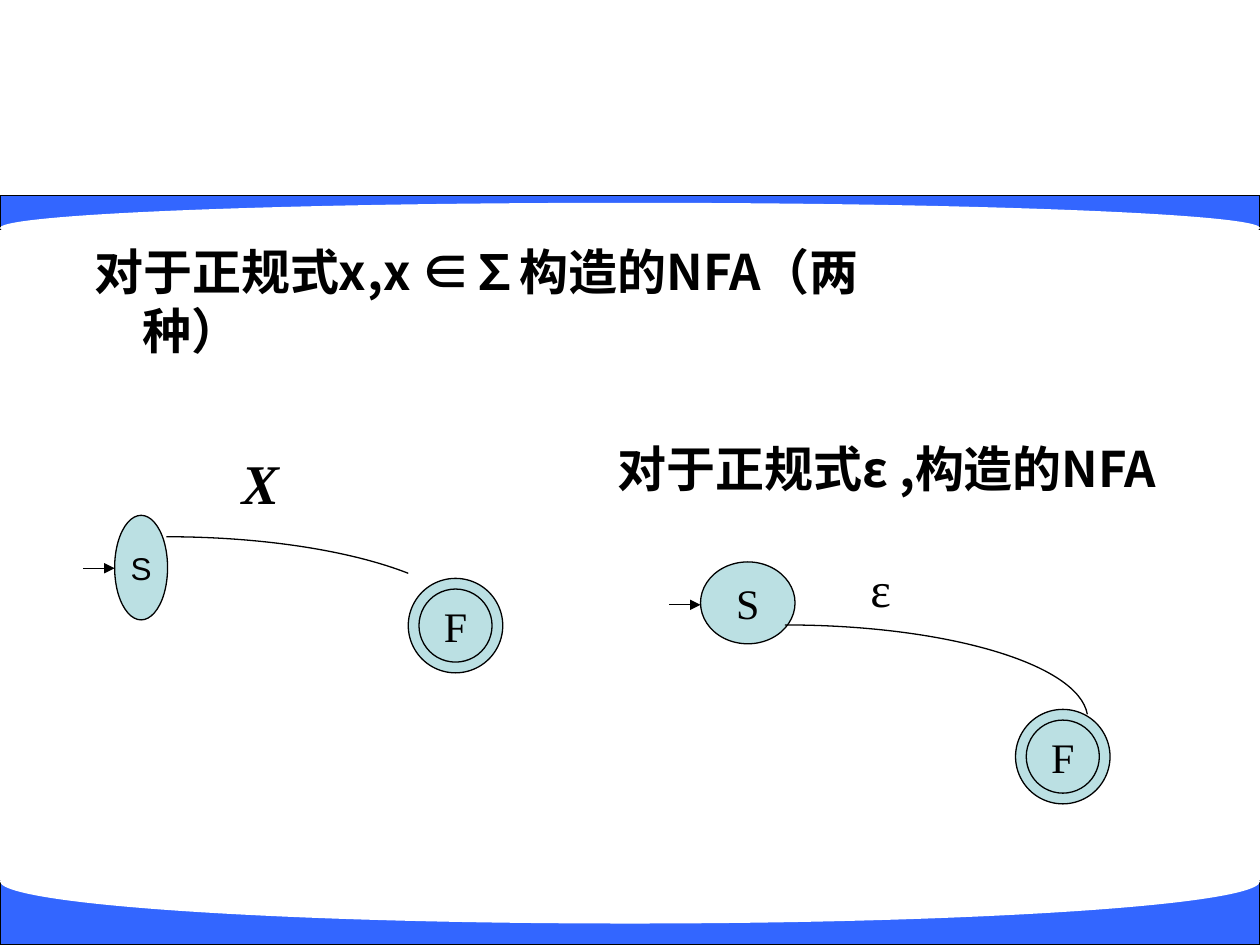
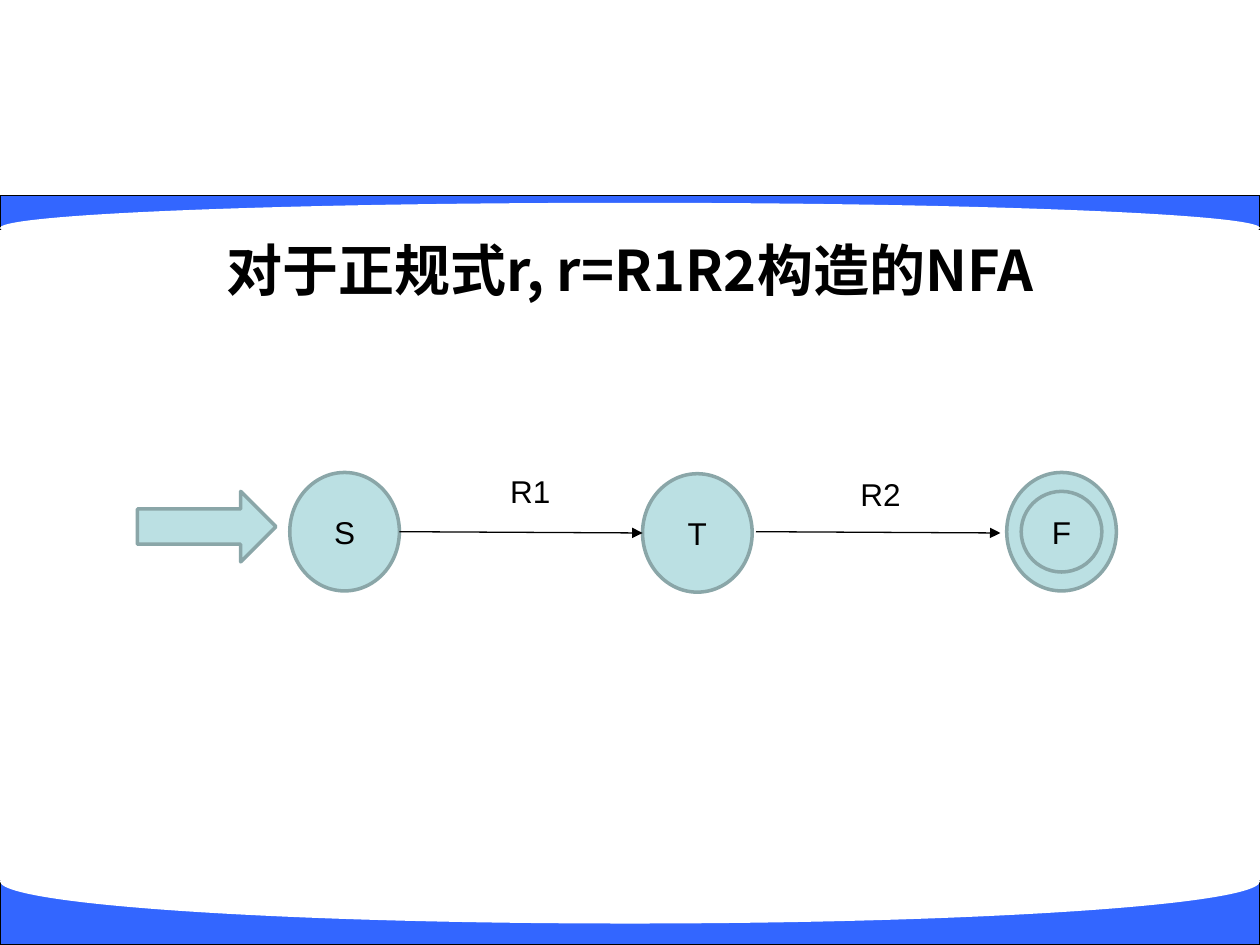
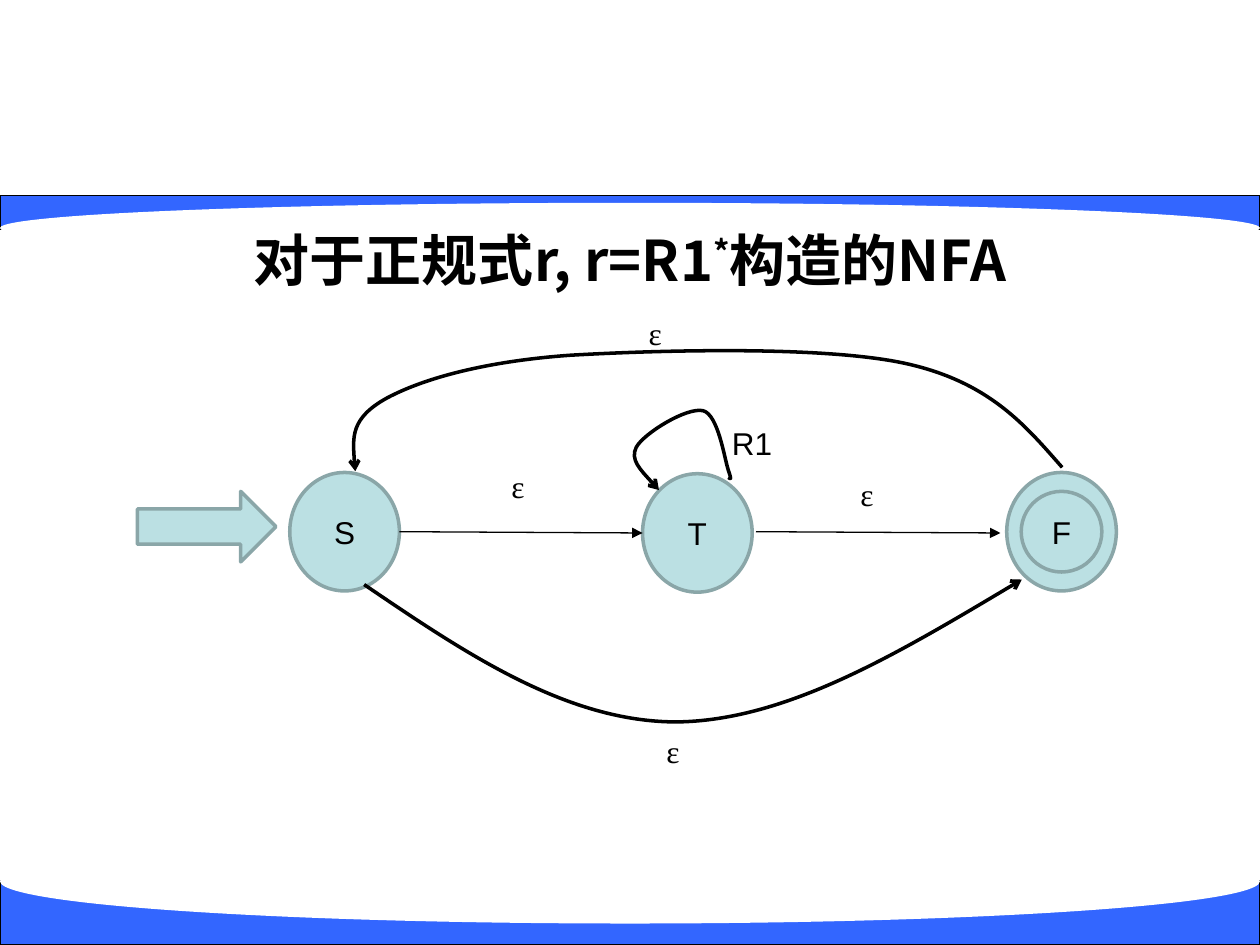
"""Build three slides on constructing NFAs from regular expressions."""

from dataclasses import dataclass
from typing import Any

import lxml.etree
import pptx
import pptx.dml.color
import pptx.enum.shapes
import pptx.enum.text
import pptx.oxml.ns
import pptx.util

Inches = pptx.util.Inches
Pt = pptx.util.Pt
MSO_SHAPE = pptx.enum.shapes.MSO_SHAPE
PP_ALIGN = pptx.enum.text.PP_ALIGN
MSO_ANCHOR = pptx.enum.text.MSO_ANCHOR
MSO_AUTO_SIZE = pptx.enum.text.MSO_AUTO_SIZE
qn = pptx.oxml.ns.qn

BLUE = "3366FF"
TEAL = "BBE0E3"
GREY_TEAL = "8AA6A8"
BLACK = "000000"
WHITE = "FFFFFF"
HEADING_FONT = "Noto Sans CJK SC"
SANS = "Arial"
SERIF = "Times New Roman"

Point = tuple[float, float]


@dataclass(frozen=True)
class Box:
    """Place and size in inches."""

    left: float
    top: float
    width: float
    height: float

    def lengths(self) -> list[Any]:
        """Return the four values as lengths."""
        return [Inches(value) for value in (self.left, self.top, self.width, self.height)]

    def centred(self, size: float) -> "Box":
        """Return a square box with the same centre."""
        return Box(self.left + (self.width - size) / 2, self.top + (self.height - size) / 2, size, size)


@dataclass(frozen=True)
class Outline:
    """Colour and width of a line."""

    colour: str = BLACK
    points: float = 0.75


THIN = Outline()
THICK = Outline(points=2)
SOFT = Outline(GREY_TEAL, 2)


@dataclass(frozen=True)
class Band:
    """A blue bar partly covered by a white ellipse."""

    bar: Box
    cover: Box


@dataclass(frozen=True)
class Heading:
    """A heading whose every second piece is superscript."""

    pieces: tuple[str, ...]
    box: Box
    size: float
    centred: bool = True


@dataclass(frozen=True)
class State:
    """An automaton state, with an inner ring if it is final."""

    label: str
    box: Box
    inner: float = 0
    outline: Outline = SOFT
    font: str = SANS
    size: float = 18
    wrap: bool = True


@dataclass(frozen=True)
class Label:
    """The symbol on a transition."""

    text: str
    box: Box
    font: str = SANS
    size: float = 18
    wrap: bool = False
    emphasis: bool = False


@dataclass(frozen=True)
class Arrow:
    """A straight transition."""

    start: Point
    end: Point


@dataclass(frozen=True)
class Curve:
    """A chain of cubic curves: the start, then three points for each."""

    points: tuple[Point, ...]
    outline: Outline = THICK
    head: str = "arrow"


BANDS = (
    Band(Box(0, 1.55, 10, 0.27), Box(0, 1.61, 10, 0.4)),
    Band(Box(0, 6.99, 10, 0.51), Box(0, 6.66, 10, 0.67)),
)

SYMBOL_HEADINGS = (
    Heading(("对于正规式x,x ∈∑构造的NFA（两种）",), Box(0.65, 1.87, 6.71, 1.06), 28, False),
    Heading(("对于正规式ε ,构造的NFA",), Box(4.76, 3.32, 4.56, 0.68), 28),
)
SYMBOL_STATES = (
    State("F", Box(3.24, 4.59, 0.75, 0.75), 0.58, THIN, SERIF, 24, False),
    State("S", Box(0.91, 4.09, 0.42, 0.83), 0, THIN, SANS, 18, False),
    State("F", Box(8.06, 5.63, 0.75, 0.75), 0.58, THIN, SERIF, 24, False),
    State("S", Box(5.56, 4.46, 0.75, 0.65), 0, THIN, SERIF, 24, False),
)
SYMBOL_LABELS = (
    Label("X", Box(1.82, 3.51, 0.75, 0.63), SERIF, 32, True, True),
    Label("ε", Box(6.81, 4.38, 0.75, 0.57), SERIF, 28, True),
)
SYMBOL_ARROWS = (Arrow((0.66, 4.51), (0.91, 4.51)), Arrow((5.31, 4.8), (5.56, 4.8)))
SYMBOL_CURVES = (
    Curve(((1.32, 4.26), (2.08, 4.26), (2.78, 4.37), (3.24, 4.55)), THIN, ""),
    Curve(((6.23, 4.96), (7.51, 4.96), (8.56, 5.27), (8.63, 5.67)), THIN, ""),
)

CHAIN_STATES = (
    State("S", Box(2.3, 3.75, 0.87, 0.94)),
    State("F", Box(7.99, 3.75, 0.87, 0.94), 0.64),
    State("T", Box(5.1, 3.76, 0.87, 0.94)),
)
CHAIN_ARROWS = (Arrow((3.17, 4.22), (5.1, 4.23)), Arrow((6, 4.22), (7.94, 4.23)))
ENTRY_ARROW = Box(1.09, 3.9, 1.1, 0.56)

CONCATENATION_HEADING = Heading(("对于正规式r, r=R1R2构造的NFA",), Box(0.75, 1.37, 8.5, 1.08), 32)
CONCATENATION_LABELS = (
    Label("R1", Box(3.95, 3.7, 0.52, 0.4)),
    Label("R2", Box(6.73, 3.72, 0.52, 0.4)),
)

CLOSURE_HEADING = Heading(("对于正规式r, r=R1", "*", "构造的NFA"), Box(0.75, 1.29, 8.5, 1.08), 32)
EPSILON_PLACES = ((6.73, 3.72), (3.96, 3.66), (5.19, 5.76), (5.05, 2.44))
CLOSURE_LABELS = (
    Label("R1", Box(5.71, 3.32, 0.52, 0.4)),
    *(Label("ε", Box(left, top, 0.31, 0.4), SERIF) for left, top in EPSILON_PLACES),
)
SKIP_CURVE = Curve((
    (2.89, 4.64), (3.7, 5.19), (4.5, 5.73), (5.37, 5.73),
    (6.24, 5.72), (7.17, 5.16), (8.11, 4.6),
))
LOOP_CURVE = Curve((
    (5.78, 3.79), (5.8, 3.8), (5.81, 3.82), (5.78, 3.73),
    (5.75, 3.64), (5.7, 3.29), (5.58, 3.26),
    (5.45, 3.23), (5.11, 3.44), (5.05, 3.55),
    (5, 3.65), (5.12, 3.77), (5.23, 3.89),
))
RETURN_CURVE = Curve((
    (8.43, 3.71), (8.14, 3.38), (7.86, 3.04), (7.21, 2.89),
    (6.56, 2.74), (5.21, 2.78), (4.52, 2.82),
    (3.83, 2.87), (3.35, 3.01), (3.07, 3.16),
    (2.78, 3.32), (2.8, 3.53), (2.82, 3.74),
))


def rgb(colour: str) -> pptx.dml.color.RGBColor:
    """Turn a hex string into a colour."""
    return pptx.dml.color.RGBColor.from_string(colour)


def apply_format(target: Any, values: dict[str, Any]) -> None:
    """Set each named attribute on the target."""
    for name, value in values.items():
        setattr(target, name, value)


def style_line(line: Any, outline: Outline, head: str = "") -> None:
    """Give a line its colour, width and arrowhead."""
    line.color.rgb = rgb(outline.colour)
    line.width = Pt(outline.points)
    if head:
        lxml.etree.SubElement(line._get_or_add_ln(), qn("a:tailEnd"), type=head)


def add_figure(slide: Any, kind: Any, box: Box, fill: str, outline: Outline | None = None) -> Any:
    """Draw a filled preset shape."""
    shape = slide.shapes.add_shape(kind, *box.lengths())
    shape.shadow.inherit = False
    shape.fill.solid()
    shape.fill.fore_color.rgb = rgb(fill)
    if outline:
        style_line(shape.line, outline)
    else:
        shape.line.fill.background()
    return shape


def add_run(paragraph: Any, text: str, font: str, size: float, **extra: Any) -> Any:
    """Add black text to a paragraph."""
    run = paragraph.add_run()
    run.text = text
    apply_format(run.font, {"name": font, "size": Pt(size), **extra})
    run.font.color.rgb = rgb(BLACK)
    return run


def add_bands(slide: Any) -> None:
    """Draw the curved blue bands."""
    for band in BANDS:
        add_figure(slide, MSO_SHAPE.RECTANGLE, band.bar, BLUE, THIN)
        add_figure(slide, MSO_SHAPE.OVAL, band.cover, WHITE)


def add_heading(slide: Any, heading: Heading) -> None:
    """Write a bold heading, centred or with a hanging indent."""
    frame = slide.shapes.add_textbox(*heading.box.lengths()).text_frame
    anchor = MSO_ANCHOR.BOTTOM if heading.centred else MSO_ANCHOR.TOP
    apply_format(frame, {"word_wrap": True, "vertical_anchor": anchor})
    paragraph = frame.paragraphs[0]
    paragraph.line_spacing = Pt(heading.size * 1.2)
    if heading.centred:
        paragraph.alignment = PP_ALIGN.CENTER
    else:
        properties = paragraph._p.get_or_add_pPr()
        properties.set("marL", str(Inches(0.38)))
        properties.set("indent", str(Inches(-0.38)))
    for index, piece in enumerate(heading.pieces):
        run = add_run(paragraph, piece, HEADING_FONT, heading.size, bold=True)
        properties = run._r.get_or_add_rPr()
        lxml.etree.SubElement(properties, qn("a:ea"), typeface=HEADING_FONT)
        if index % 2:
            properties.set("baseline", "30000")


def add_state(slide: Any, state: State) -> None:
    """Draw a state and its name."""
    shape = add_figure(slide, MSO_SHAPE.OVAL, state.box, TEAL, state.outline)
    if state.inner:
        shape = add_figure(slide, MSO_SHAPE.OVAL, state.box.centred(state.inner), TEAL, state.outline)
    frame = shape.text_frame
    apply_format(frame, {"word_wrap": state.wrap, "vertical_anchor": MSO_ANCHOR.MIDDLE})
    paragraph = frame.paragraphs[0]
    paragraph.alignment = PP_ALIGN.CENTER
    add_run(paragraph, state.label, state.font, state.size)


def add_label(slide: Any, label: Label) -> None:
    """Write a transition symbol."""
    frame = slide.shapes.add_textbox(*label.box.lengths()).text_frame
    apply_format(frame, {"word_wrap": label.wrap, "auto_size": MSO_AUTO_SIZE.SHAPE_TO_FIT_TEXT})
    add_run(frame.paragraphs[0], label.text, label.font, label.size, bold=label.emphasis, italic=label.emphasis)


def add_arrow(slide: Any, arrow: Arrow) -> None:
    """Draw a straight transition."""
    ends = [Inches(value) for value in (*arrow.start, *arrow.end)]
    connector = slide.shapes.add_connector(pptx.enum.shapes.MSO_CONNECTOR.STRAIGHT, *ends)
    style_line(connector.line, THIN, "triangle")
    lxml.etree.SubElement(connector._element.spPr, qn("a:effectLst"))


def add_curve(slide: Any, curve: Curve) -> None:
    """Draw a freeform and bend each three segments into a cubic curve."""
    start, *others = [(Inches(x), Inches(y)) for x, y in curve.points]
    builder = slide.shapes.build_freeform(*start)
    builder.add_line_segments(others, close=False)
    shape = builder.convert_to_shape()
    shape.shadow.inherit = False
    shape.fill.background()
    style_line(shape.line, curve.outline, curve.head)
    outline = next(shape._element.iter(qn("a:path")))
    segments = outline.findall(qn("a:lnTo"))
    for index in range(0, len(segments), 3):
        cubic = lxml.etree.SubElement(outline, qn("a:cubicBezTo"))
        for segment in segments[index:index + 3]:
            cubic.append(segment[0])
            outline.remove(segment)


DRAWERS = {Heading: add_heading, State: add_state, Label: add_label, Arrow: add_arrow, Curve: add_curve}


def add_slide(presentation: Any, *items: Any) -> Any:
    """Add a banded slide and draw its items in order."""
    slide = presentation.slides.add_slide(presentation.slide_layouts[6])
    add_bands(slide)
    for item in items:
        DRAWERS[type(item)](slide, item)
    return slide


def add_chain_slide(presentation: Any, heading: Heading, *items: Any) -> None:
    """Add a slide with the chain of states S, T and F."""
    slide = add_slide(presentation, heading, *CHAIN_STATES, *CHAIN_ARROWS, *items)
    add_figure(slide, MSO_SHAPE.RIGHT_ARROW, ENTRY_ARROW, TEAL, SOFT)


def main() -> None:
    """Build and save the presentation."""
    presentation = pptx.Presentation()
    apply_format(presentation, {"slide_width": Inches(10), "slide_height": Inches(7.5)})
    add_slide(
        presentation, *SYMBOL_HEADINGS, *SYMBOL_STATES, *SYMBOL_LABELS, *SYMBOL_ARROWS, *SYMBOL_CURVES
    )
    add_chain_slide(presentation, CONCATENATION_HEADING, *CONCATENATION_LABELS)
    add_chain_slide(
        presentation, CLOSURE_HEADING, *CLOSURE_LABELS, SKIP_CURVE, LOOP_CURVE, RETURN_CURVE
    )
    presentation.save("out.pptx")


if __name__ == "__main__":
    main()
